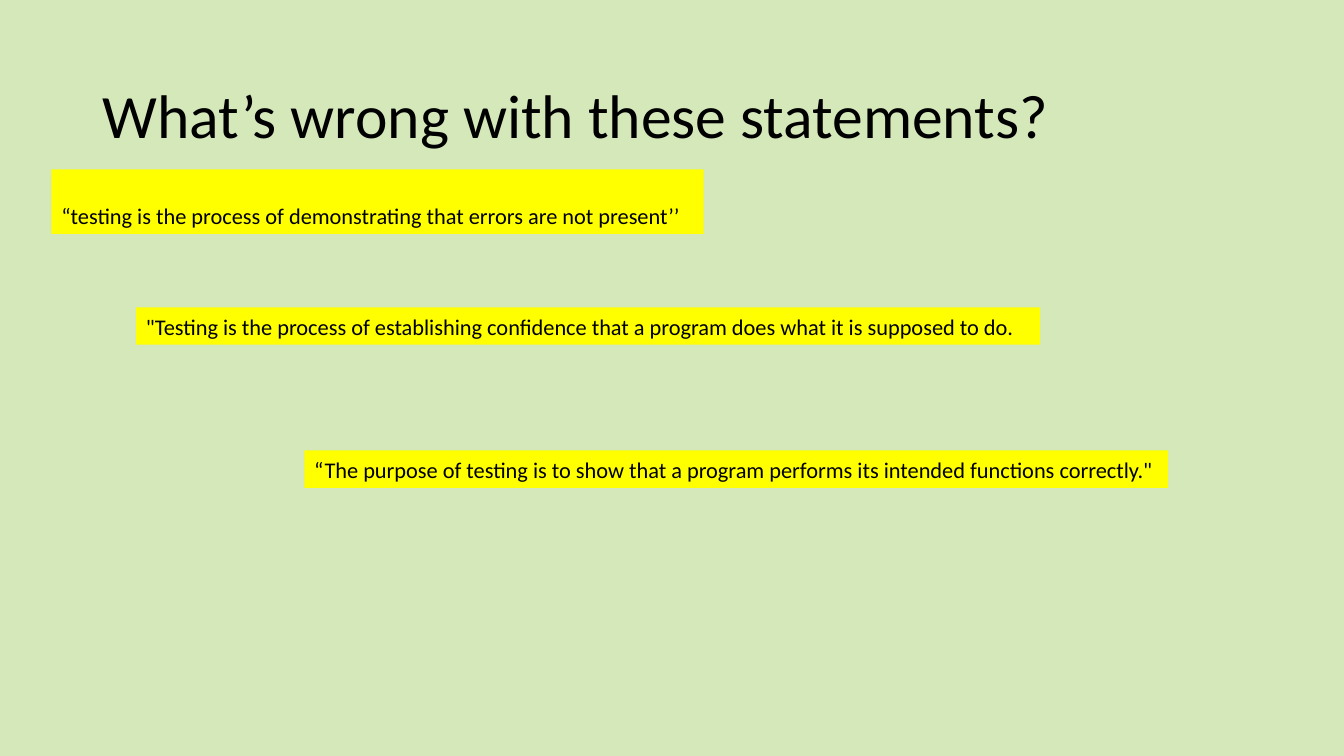
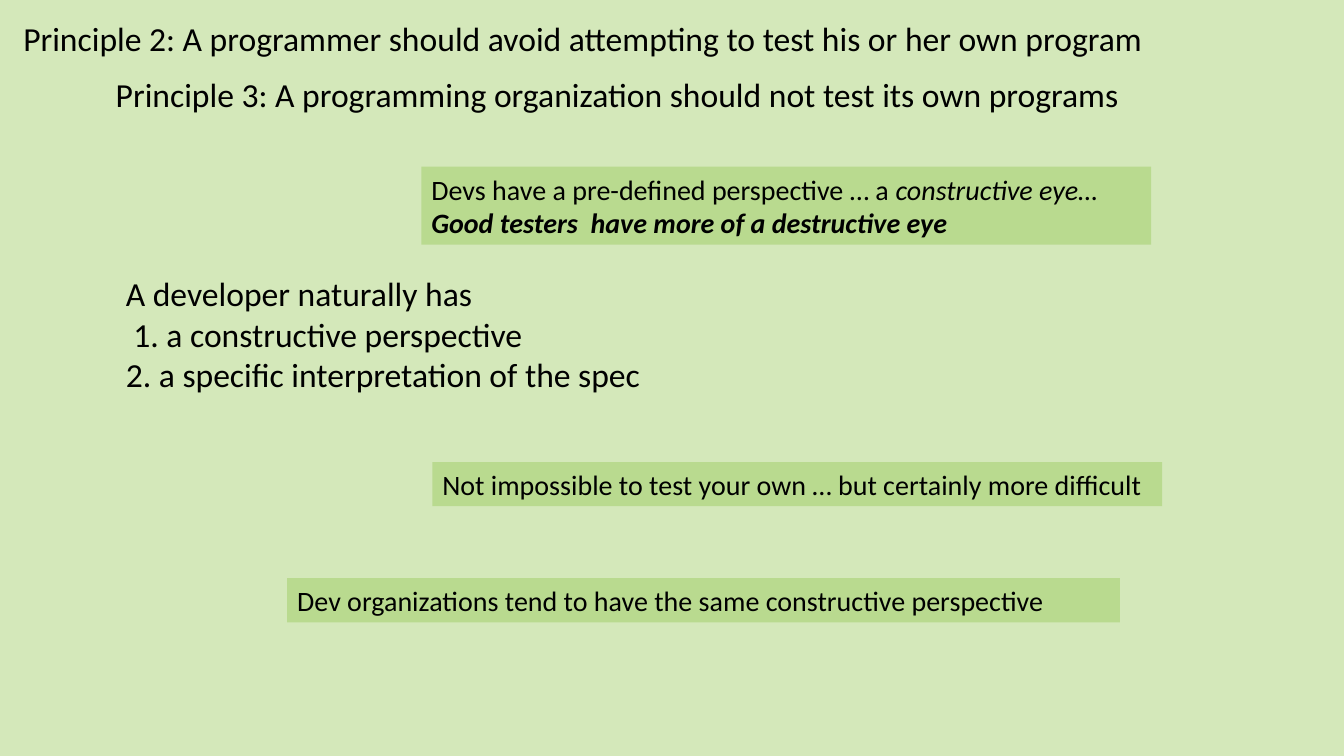
from pptx import Presentation
from pptx.dml.color import RGBColor
from pptx.enum.shapes import MSO_SHAPE as SHAPE
from pptx.enum.text import MSO_ANCHOR as ANCHOR, MSO_AUTO_SIZE as AUTO, PP_ALIGN as ALIGN
from pptx.oxml.ns import qn
from pptx.util import Pt
from lxml import etree

BACKGROUND, TEXT, YELLOW, GREEN = "D4E8BA", "000000", "FFFF00", "B9DA8F"
FONT = "Calibri"
TITLE_ONLY = 5
NUMBER_WIDTH = 23.6

# Content: each box is (left, top, width, height), then its text.
# A paragraph is a list of (text, format) runs.
STATEMENTS = [
    ((36.8, 121, 465.8, 46), "“testing is the process of demonstrating that errors are not present’’"),
    ((97.2, 219.6, 645.8, 26.7),
     "\"Testing is the process of establishing confidence that a program does what it is supposed to do."),
    ((217.4, 321.8, 617, 26.7),
     "“The purpose of testing is to show that a program performs its intended functions correctly.\""),
]
PRINCIPLE_3 = "Principle 3: A programming organization should not test its own programs"
DEVELOPER = ["A developer naturally has", "a constructive perspective", "a specific interpretation of the spec"]
NUMBER_INDENTS = [5.4, 0]
REMARKS = [
    ((301, 119, 521.3, 55.7), [
        [("Devs have a pre-defined perspective … a ", {}), ("constructive eye…", {"italic": True})],
        [("Good testers  have more of a destructive eye", {"italic": True, "bold": True})],
    ]),
    ((308.9, 330, 521.3, 31.5), [[("Not impossible to test your own … but certainly more difficult", {})]]),
    ((205.2, 413, 594.7, 31.5), [[("Dev organizations tend to have the same constructive perspective", {})]]),
]


def color(value):
    return RGBColor.from_string(value)


def plain(*lines):
    return [[(line, {})] for line in lines]


def write(s, paragraphs, size, anchor=ANCHOR.TOP):
    tf = s.text_frame
    for name, value in {"word_wrap": True, "auto_size": AUTO.NONE, "vertical_anchor": anchor}.items():
        setattr(tf, name, value)
    for i, runs in enumerate(paragraphs):
        p = tf.add_paragraph() if i else tf.paragraphs[0]
        p.alignment = ALIGN.LEFT
        for text, extra in runs:
            r = p.add_run()
            r.text = text
            r.font.color.rgb = color(TEXT)
            for name, value in {"name": FONT, "size": Pt(size), **extra}.items():
                setattr(r.font, name, value)
    return tf


def add_slide(prs, title, box, size):
    slide = prs.slides.add_slide(prs.slide_layouts[TITLE_ONLY])
    fill = slide.background.fill
    fill.solid()
    fill.fore_color.rgb = color(BACKGROUND)
    s = slide.shapes.title
    s.left, s.top, s.width, s.height = map(Pt, box)
    write(s, plain(title), size, ANCHOR.MIDDLE)
    return slide


def add_text(slide, box, paragraphs, size):
    return write(slide.shapes.add_textbox(*map(Pt, box)), paragraphs, size)


def add_block(slide, box, fill, paragraphs, size, anchor=ANCHOR.MIDDLE):
    s = slide.shapes.add_shape(SHAPE.RECTANGLE, *map(Pt, box))
    s.shadow.inherit = False
    s.fill.solid()
    s.fill.fore_color.rgb = color(fill)
    s.line.fill.background()
    write(s, paragraphs, size, anchor)


def number(p, indent):
    pPr = p._p.get_or_add_pPr()
    pPr.set("marL", str(Pt(indent + NUMBER_WIDTH)))
    pPr.set("indent", str(-Pt(NUMBER_WIDTH)))
    etree.SubElement(pPr, qn("a:buFont"), typeface=FONT)
    etree.SubElement(pPr, qn("a:buAutoNum"), type="arabicPeriod")


def main():
    prs = Presentation()
    prs.slide_width, prs.slide_height = Pt(960), Pt(540)

    # Statements to question
    slide = add_slide(prs, "What’s wrong with these statements?", (66, 28.8, 828, 104.4), 44)
    for box, text in STATEMENTS:
        add_block(slide, box, YELLOW, plain(text), 16, ANCHOR.BOTTOM)

    # Principles 2 and 3
    slide = add_slide(prs, "Principle 2: A programmer should avoid attempting to test his or her own program",
                      (9.4, 9, 830, 36.4), 24)
    add_text(slide, (75.6, 49.2, 737.3, 36.4), plain(PRINCIPLE_3), 24)
    tf = add_text(slide, (82.8, 191.7, 636.5, 94.5), plain(*DEVELOPER), 24)
    for p, indent in zip(tf.paragraphs[1:], NUMBER_INDENTS):
        number(p, indent)
    for box, paragraphs in REMARKS:
        add_block(slide, box, GREEN, paragraphs, 20)

    prs.save("out.pptx")


if __name__ == "__main__":
    main()
